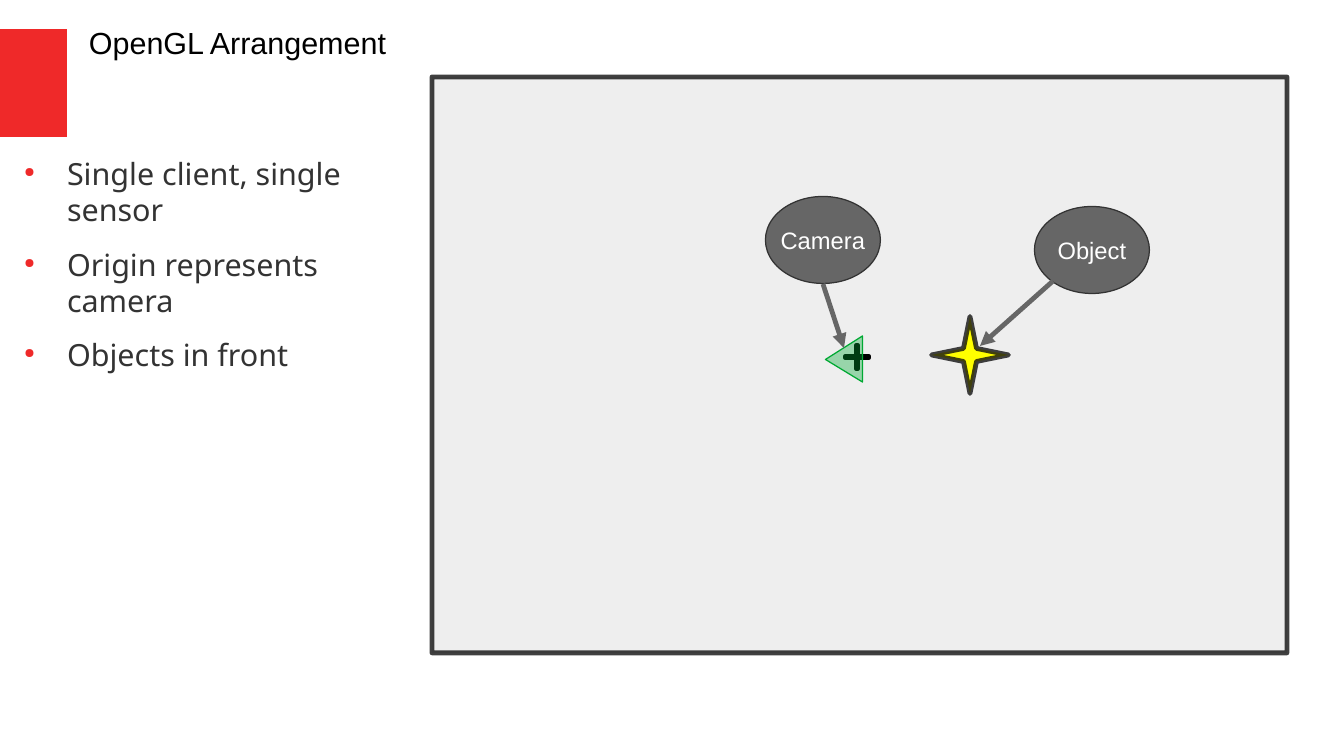
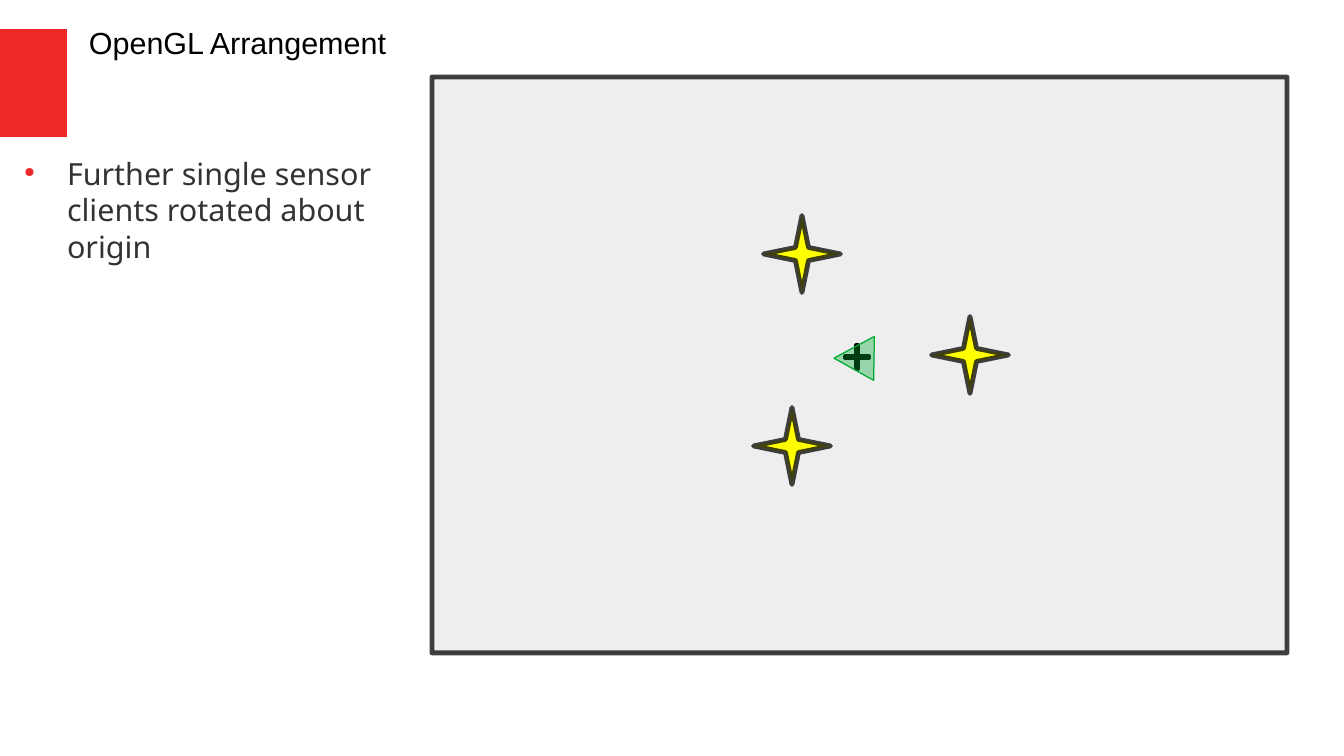
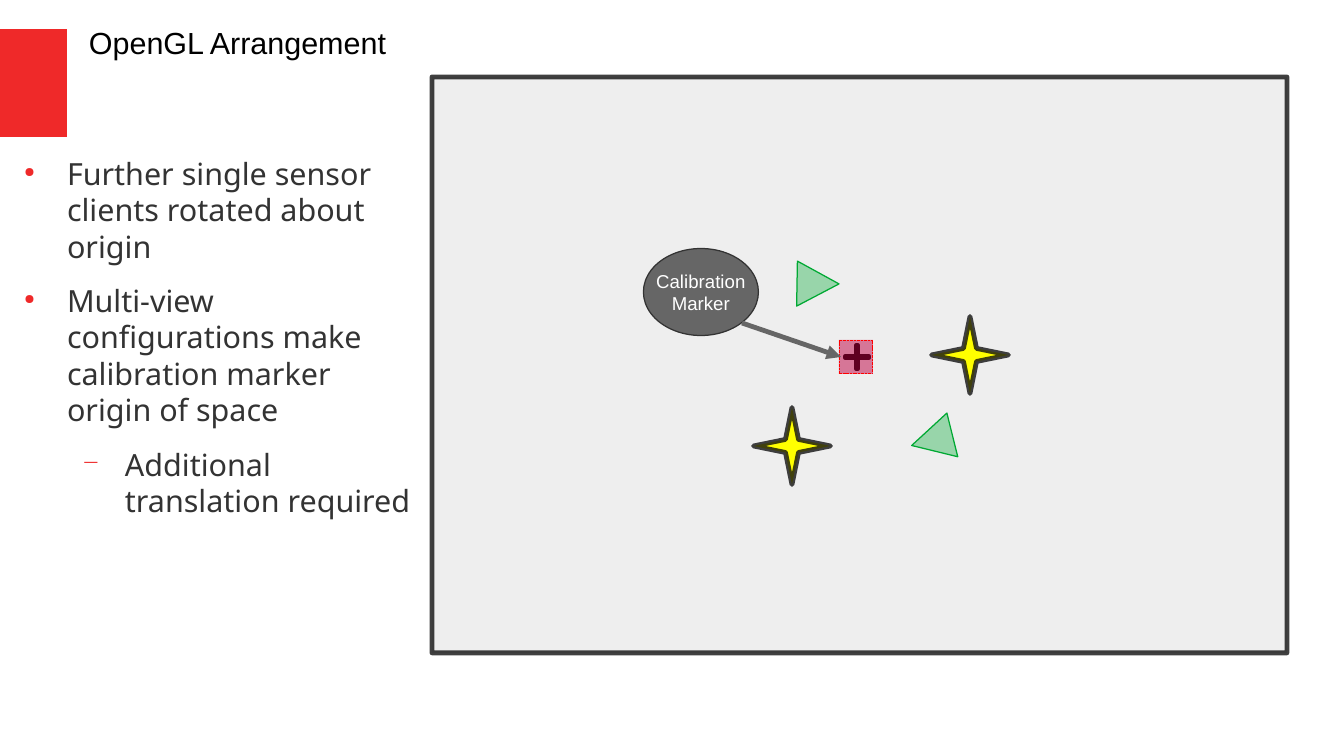
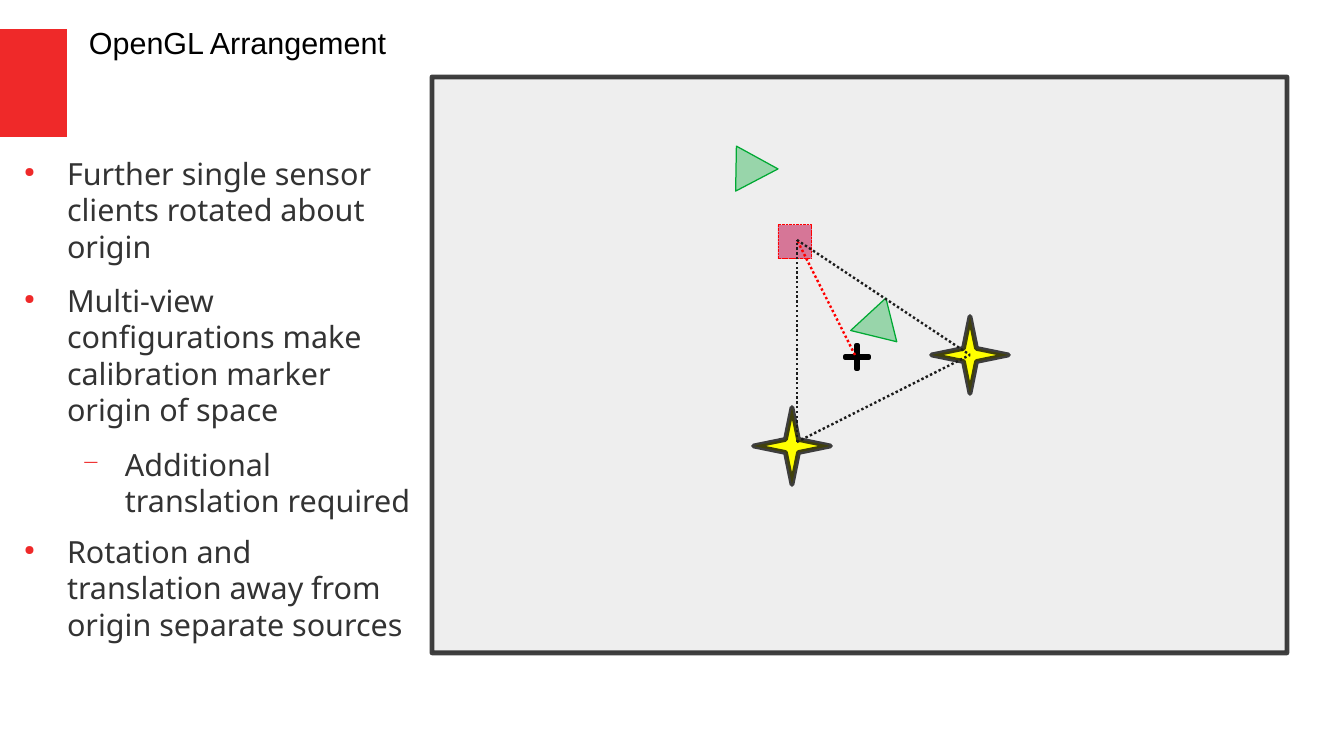
from lxml.etree import SubElement
from pptx import Presentation
from pptx.dml.color import RGBColor
from pptx.enum.dml import MSO_LINE
from pptx.enum.shapes import MSO_CONNECTOR, MSO_SHAPE as SHAPE
from pptx.enum.text import MSO_ANCHOR, PP_ALIGN
from pptx.oxml.ns import qn
from pptx.util import Emu, Pt

RED = RGBColor(0xEF, 0x29, 0x29)
PANEL = RGBColor(0xEE, 0xEE, 0xEE)
BLACK = RGBColor(0, 0, 0)
WHITE = RGBColor(0xFF, 0xFF, 0xFF)
INK = RGBColor(0x33, 0x33, 0x33)
GREY = RGBColor(0x66, 0x66, 0x66)
STAR_FILL = RGBColor(0xFF, 0xFF, 0)
STAR_EDGE = RGBColor(0x11, 0x11, 0x11)
GREEN = RGBColor(0, 0xA9, 0x33)
CRIMSON = RGBColor(0xBF, 0, 0x41)
MARKER_EDGE = RGBColor(0xFF, 0, 0)
SIGHT = RGBColor(0x1C, 0x1C, 0x1C)

PX_PER_INCH = 122
THICK, THIN, HAIRLINE = 2.83, 1.42, 0
TITLE = "OpenGL Arrangement"
BULLETS = [("●", 45, 57, 10.6), ("−", 75, 115, 8.5)]
HANG = 43
STAR_SIZE, MARKER_SIZE, ORIGIN_SIZE = 77, 34, 24
LABEL_SIZE = (115, 87)

ORIGIN = (857, 357)
EAST, SOUTH, NORTH = (970, 355), (792, 446), (802, 254)
ROTATED = (0, "Further single sensor clients rotated about origin")
MULTI_VIEW = [
    ROTATED,
    (0, "Multi-view configurations make calibration marker origin of space"),
    (1, "Additional translation required"),
]
RIG_MARKER = (856, 357)
RIG_CAMERAS = [((818, 284), (45, 42), 91), ((932, 440), (45, 42), 256)]
RIG_SHIFT = (-61, -115)
SIGHT_APEX, SIGHT_SOUTH, SIGHT_ORIGIN = (797, 240), (797, 442), (855, 355)


def shifted(point):
    return tuple(value + move for value, move in zip(point, RIG_SHIFT))


SLIDES = [
    {
        "bullets": [(0, "Single client, single sensor"),
                    (0, "Origin represents camera"),
                    (0, "Objects in front")],
        "stars": [EAST],
        "cameras": [((844, 359), (46, 37), 270)],
        "labels": [(["Object"], 14, (1092, 250), (1053, 281), (980, 346)),
                   (["Camera"], 14, (823, 240), (823, 284), (844, 348))],
    },
    {
        "bullets": [ROTATED],
        "stars": [EAST, SOUTH, NORTH],
        "cameras": [((854, 358), (44, 40), 271)],
    },
    {
        "bullets": MULTI_VIEW,
        "stars": [EAST, SOUTH],
        "marker": RIG_MARKER,
        "cameras": RIG_CAMERAS,
        "labels": [(["Calibration", "Marker"], 11, (701, 292), (742, 323), (841, 357))],
    },
    {
        "bullets": MULTI_VIEW + [
            (0, "Rotation and translation away from origin separate sources")],
        "stars": [EAST, SOUTH],
        "marker": shifted(RIG_MARKER),
        "cameras": [(shifted(center), size, turn) for center, size, turn in RIG_CAMERAS],
        "sights": [(SIGHT_ORIGIN, SIGHT_APEX, MARKER_EDGE),
                   (SIGHT_SOUTH, SIGHT_APEX, SIGHT),
                   (SIGHT_SOUTH, EAST, SIGHT),
                   (SIGHT_APEX, EAST, SIGHT)],
    },
]


def px(value):
    return Emu(round(value * 914400 / PX_PER_INCH))


def set_alpha(parent, percent):
    color = parent.find(qn("a:solidFill"))[0]
    SubElement(color, qn("a:alpha")).set("val", str(percent * 1000))


def add_box(page, kind, left, top, width, height, fill, edge=None,
            weight=HAIRLINE, fill_alpha=100, edge_alpha=100):
    box = page.shapes.add_shape(kind, px(left), px(top), px(width), px(height))
    box.shadow.inherit = False
    box.fill.solid()
    box.fill.fore_color.rgb = fill
    properties = box.element.spPr
    if fill_alpha < 100:
        set_alpha(properties, fill_alpha)
    if edge is None:
        box.line.fill.background()
    else:
        box.line.color.rgb = edge
        box.line.width = Pt(weight)
        if edge_alpha < 100:
            set_alpha(properties.find(qn("a:ln")), edge_alpha)
    return box


def add_centered(page, kind, center, size, *style, **alphas):
    left, top = (middle - length / 2 for middle, length in zip(center, size))
    return add_box(page, kind, left, top, *size, *style, **alphas)


def add_line(page, start, end, color, weight):
    line = page.shapes.add_connector(MSO_CONNECTOR.STRAIGHT, *map(px, start + end))
    line.line.color.rgb = color
    line.line.width = Pt(weight)
    SubElement(line.element.spPr, qn("a:effectLst"))
    return line


def add_span(para, text, size, font, color):
    span = para.add_run()
    span.text = text
    span.font.size = Pt(size)
    span.font.name = font
    span.font.color.rgb = color


def add_text_frame(page, left, top, width, height):
    frame = page.shapes.add_textbox(px(left), px(top), px(width), px(height)).text_frame
    frame.word_wrap = True
    return frame


def set_bullet(para, level):
    char, percent, indent, after = BULLETS[level]
    properties = para._p.get_or_add_pPr()
    properties.set("marL", str(px(indent)))
    properties.set("indent", str(-px(HANG)))
    color = SubElement(properties, qn("a:buClr"))
    SubElement(color, qn("a:srgbClr")).set("val", str(RED))
    SubElement(properties, qn("a:buSzPct")).set("val", str(percent * 1000))
    SubElement(properties, qn("a:buChar")).set("char", char)
    para.level = level
    para.line_spacing = Pt(21.5)
    para.space_after = Pt(after)


def add_bullets(page, bullets):
    frame = add_text_frame(page, 10, 155, 404, 547)
    frame.margin_left = frame.margin_top = frame.margin_right = frame.margin_bottom = 0
    for index, (level, text) in enumerate(bullets):
        para = frame.add_paragraph() if index else frame.paragraphs[0]
        set_bullet(para, level)
        add_span(para, text, 18, "Noto Sans", INK)


def add_base(page, bullets):
    add_box(page, SHAPE.RECTANGLE, 0, 29, 67, 108, RED)
    add_box(page, SHAPE.RECTANGLE, 432, 77, 855, 576, PANEL, BLACK, THICK, edge_alpha=75)
    origin = add_centered(page, SHAPE.CROSS, ORIGIN, (ORIGIN_SIZE, ORIGIN_SIZE),
                          BLACK, BLACK, THICK)
    origin.adjustments[0] = 0.49
    title = add_text_frame(page, 77, 18, 337, 57)
    add_span(title.paragraphs[0], TITLE, 18, "Arial", BLACK)
    add_bullets(page, bullets)


def add_star(page, center):
    star = add_centered(page, SHAPE.STAR_4_POINT, center, (STAR_SIZE, STAR_SIZE),
                        STAR_FILL, STAR_EDGE, THICK, edge_alpha=80)
    star.adjustments[0] = 0.12


def add_marker(page, center):
    marker = add_centered(page, SHAPE.RECTANGLE, center, (MARKER_SIZE, MARKER_SIZE),
                          CRIMSON, MARKER_EDGE, 0.5, fill_alpha=50)
    marker.line.dash_style = MSO_LINE.SQUARE_DOT


def add_camera(page, center, size, turn):
    camera = add_centered(page, SHAPE.ISOSCELES_TRIANGLE, center, size,
                          GREEN, GREEN, fill_alpha=36)
    camera.adjustments[0] = 0.49
    camera.rotation = turn


def add_label(page, lines, size, center, start, end):
    label = add_centered(page, SHAPE.OVAL, center, LABEL_SIZE, GREY, INK)
    frame = label.text_frame
    frame.word_wrap = False
    frame.vertical_anchor = MSO_ANCHOR.MIDDLE
    para = frame.paragraphs[0]
    para.alignment = PP_ALIGN.CENTER
    for index, text in enumerate(lines):
        if index:
            para.add_line_break()
        add_span(para, text, size, "Arial", WHITE)
    arrow = add_line(page, start, end, GREY, THICK)
    outline = arrow.element.spPr.find(qn("a:ln"))
    SubElement(outline, qn("a:tailEnd")).set("type", "triangle")


def add_sight(page, start, end, color):
    sight = add_line(page, start, end, color, THIN)
    sight.line.dash_style = MSO_LINE.ROUND_DOT


def main():
    deck = Presentation()
    deck.slide_width, deck.slide_height = px(1344), px(756)
    for content in SLIDES:
        page = deck.slides.add_slide(deck.slide_layouts[6])
        add_base(page, content["bullets"])
        for center in content["stars"]:
            add_star(page, center)
        if "marker" in content:
            add_marker(page, content["marker"])
        for camera in content["cameras"]:
            add_camera(page, *camera)
        for label in content.get("labels", []):
            add_label(page, *label)
        for sight in content.get("sights", []):
            add_sight(page, *sight)
    deck.save("out.pptx")


if __name__ == "__main__":
    main()
